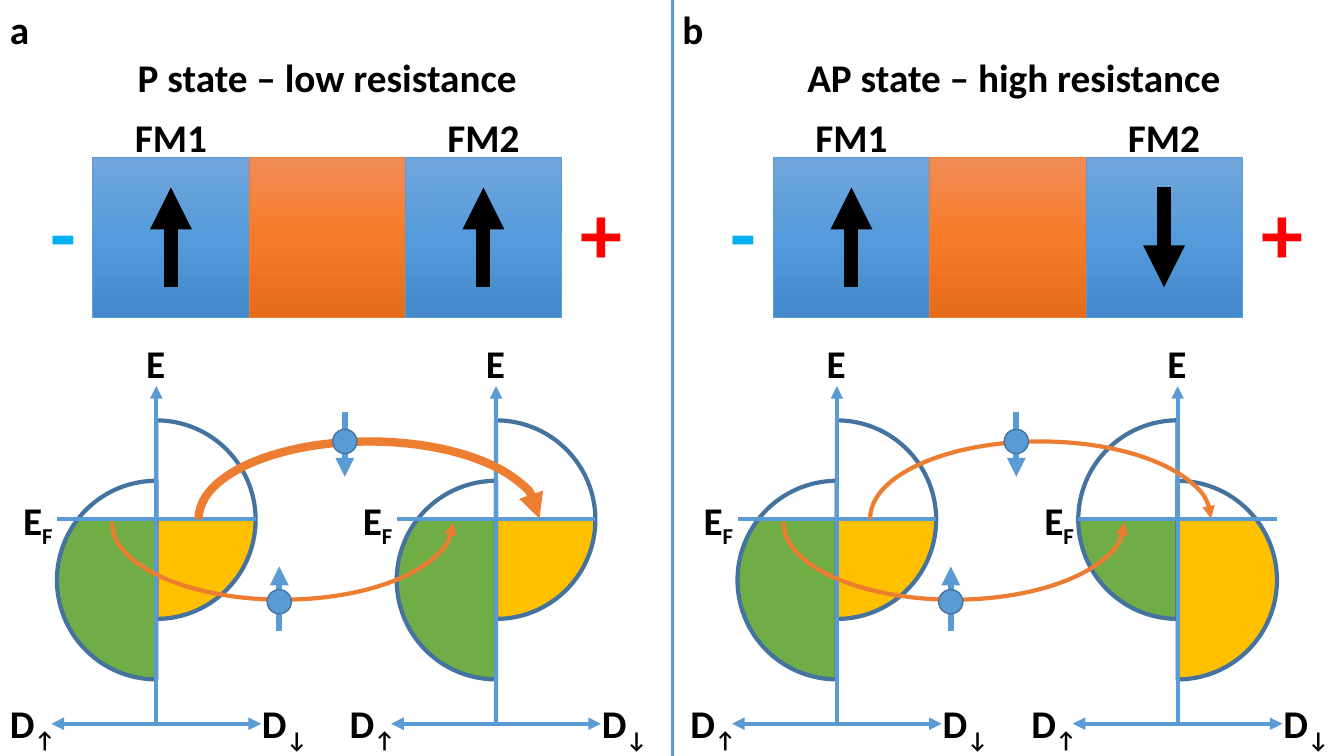
"""Draw spin-valve tunnelling in the parallel and antiparallel states."""
from copy import deepcopy
from dataclasses import dataclass
from math import asin, cos, pi, sin

from lxml.etree import SubElement
from pptx import Presentation
from pptx.dml.color import RGBColor
from pptx.enum.shapes import MSO_CONNECTOR, MSO_SHAPE
from pptx.enum.text import MSO_ANCHOR, MSO_AUTO_SIZE, PP_ALIGN
from pptx.oxml.ns import qn
from pptx.shapes.autoshape import Shape
from pptx.shapes.shapetree import GroupShapes, SlideShapes
from pptx.util import Inches, Pt

Shapes = SlideShapes | GroupShapes
Point = tuple[float, float]

COLORS = {
    "black": "000000", "blue": "5B9BD5", "outline": "43739E", "orange": "ED7D31",
    "green": "70AD47", "green_edge": "538035", "yellow": "FFC000",
    "yellow_edge": "BD8E00", "minus": "00B0F0", "plus": "FF0000",
}
GRADIENTS = {
    "blue": ("71A6DB", "559BDB", "448ACA"),
    "orange": ("F18C57", "F67B28", "E56C19"),
}
LAYER_W, LAYER_H, LAYER_TOP = 1.55, 1.59, 1.56
FERMI, RADIUS = 5.15, 0.985
HIGH, LOW = 5.155, 5.755


@dataclass
class Box:
    x: float
    y: float
    w: float
    h: float

    def emu(self) -> tuple[int, int, int, int]:
        return Inches(self.x), Inches(self.y), Inches(self.w), Inches(self.h)


@dataclass
class Band:
    """Half-circle band on one side of an energy axis."""
    side: int
    center: float
    color: str


@dataclass
class Panel:
    letter: str
    left: float
    title: str
    title_box: Box
    stack: float
    fm2_up: bool
    axes: tuple[float, float]
    hop: float
    down_width: float


PANELS = (
    Panel("a", 0, "P state – low resistance", Box(1.24, 0.48, 4.01, 0.57),
          0.92, True, (1.55, 4.92), 1.97, 6),
    Panel("b", 6.67, "AP state – high resistance", Box(7.88, 0.48, 4.35, 0.57),
          7.67, False, (8.3, 11.68), 8.63, 3),
)


def rgb(name: str) -> RGBColor:
    return RGBColor.from_string(COLORS[name])


def write(s: Shape, text: str, sub: str = "", size: int = 28, color: str = "black",
          centered: bool = False, anchor: MSO_ANCHOR = MSO_ANCHOR.TOP) -> None:
    """Set a bold label with an optional subscript."""
    tf = s.text_frame
    tf.word_wrap = False
    tf.auto_size = MSO_AUTO_SIZE.SHAPE_TO_FIT_TEXT
    tf.vertical_anchor = anchor
    p = tf.paragraphs[0]
    p.alignment = PP_ALIGN.CENTER if centered else PP_ALIGN.LEFT
    p.space_before = Pt(0)
    p.font.name, p.font.size, p.font.bold = "Calibri", Pt(size), True
    p.font.color.rgb = rgb(color)
    p.add_run().text = text
    if sub:
        r = p.add_run()
        r.text = sub
        r._r.get_or_add_rPr().set("baseline", "-25000")


def label(shapes: Shapes, box: Box, text: str, **style) -> None:
    write(shapes.add_textbox(*box.emu()), text, **style)


def arrowheads(s, *ends: str) -> None:
    for end in ends:
        SubElement(s.get_or_add_ln(), qn(f"a:{end}")).set("type", "triangle")


def line(shapes: Shapes, start: Point, end: Point, color: str, width: float,
         *ends: str) -> None:
    s = shapes.add_connector(MSO_CONNECTOR.STRAIGHT, *map(Inches, start + end))
    s.line.color.rgb = rgb(color)
    s.line.width = Pt(width)
    arrowheads(s, *ends)
    SubElement(s._element.spPr, qn("a:effectLst"))


def style(s: Shape, fill: str | None, edge: str, width: float) -> Shape:
    s.shadow.inherit = False
    if fill:
        s.fill.solid()
        s.fill.fore_color.rgb = rgb(fill)
    else:
        s.fill.background()
    s.line.color.rgb = rgb(edge)
    s.line.width = Pt(width)
    return s


def layer(shapes: Shapes, x: float, color: str) -> None:
    """Draw one layer of the stack with a three-stop gradient."""
    s = shapes.add_shape(MSO_SHAPE.RECTANGLE,
                         *Box(x, LAYER_TOP, LAYER_W, LAYER_H).emu())
    style(s, None, color, 0.5)
    s.fill.gradient()
    s.fill.gradient_angle = 270
    first = s.fill._xPr.find(qn("a:gradFill")).find(qn("a:gsLst"))[0]
    first.addnext(deepcopy(first))
    for stop, value, position in zip(s.fill.gradient_stops, GRADIENTS[color], (0, 0.5, 1)):
        stop.color.rgb = RGBColor.from_string(value)
        stop.position = position


def stack(shapes: Shapes, panel: Panel) -> None:
    """Draw the layers, magnetisations, layer names and bias signs."""
    for i, color in enumerate(("blue", "orange", "blue")):
        layer(shapes, panel.stack + i * LAYER_W, color)
    for i, name, up in ((0, "FM1", True), (2, "FM2", panel.fm2_up)):
        left = panel.stack + i * LAYER_W
        x = left + LAYER_W / 2
        start, end = (2.85, 1.86) if up else (1.86, 2.85)
        line(shapes, (x, start), (x, end), "black", 10, "tailEnd")
        label(shapes, Box(left + 0.31, 1.08, 0.93, 0.57), name, centered=True)
    for dx, w, sign, color in ((-0.52, 0.46, "-", "minus"), (4.74, 0.62, "+", "plus")):
        label(shapes, Box(panel.stack + dx, 1.74, w, 1.11), sign, size=60,
              color=color, anchor=MSO_ANCHOR.MIDDLE)


def occupied(shapes: Shapes, x: float, band: Band) -> None:
    """Fill the part of a band below the Fermi level."""
    first = asin((FERMI - band.center) / RADIUS)
    angles = [first + (pi / 2 - first) * i / 30 for i in range(31)]
    points = [(Inches(x + band.side * RADIUS * cos(a)),
               Inches(band.center + RADIUS * sin(a))) for a in angles]
    builder = shapes.build_freeform(Inches(x), Inches(FERMI))
    builder.add_line_segments(points, close=True)
    style(builder.convert_to_shape(), band.color, f"{band.color}_edge", 1)


def density(shapes: Shapes, x: float, bands: tuple[Band, Band]) -> None:
    """Draw the density of states around one energy axis."""
    for band in bands:
        occupied(shapes, x, band)
    for band in bands:
        box = Box(x - RADIUS, band.center - RADIUS, 2 * RADIUS, 2 * RADIUS)
        s = style(shapes.add_shape(MSO_SHAPE.PIE, *box.emu()), None, "outline", 3)
        s.adjustments[0], s.adjustments[1] = 54, 162
        s.rotation = 180 if band.side > 0 else 0
    line(shapes, (x, 7.18), (x, 3.83), "blue", 3, "tailEnd")
    line(shapes, (x + RADIUS, FERMI), (x - RADIUS, FERMI), "blue", 3)
    line(shapes, (x - 1.04, 7.18), (x + 1.04, 7.18), "blue", 3, "headEnd", "tailEnd")
    for dx, y, w, text, sub in ((-0.2, 3.32, 0.39, "E", ""), (-1.42, 4.87, 0.51, "E", "F"),
                                (-1.55, 6.89, 0.69, "D", "↑"), (0.95, 6.89, 0.69, "D", "↓")):
        label(shapes, Box(x + dx, y, w, 0.57), text, sub=sub)


def hop(shapes: Shapes, x: float, up: bool, width: float) -> None:
    """Draw a tunnelling arc and the spin that follows it."""
    box = Box(x, 4.42 if up else 4.38, 3.38, 1.53)
    s = style(shapes.add_shape(MSO_SHAPE.ARC, *box.emu()), None, "orange", width)
    s.adjustments[0], s.adjustments[1] = 107.86, 0
    arrowheads(s, "tailEnd")
    if up:
        s._element.spPr.xfrm.set("flipV", "1")
    dx, start, end, top = (1.66, 6.26, 5.62, 5.85) if up else (1.45, 4.09, 4.73, 4.26)
    line(shapes, (x + dx, start), (x + dx, end), "blue", 4.5, "tailEnd")
    ball = Box(x + dx - 0.12, top, 0.24, 0.24)
    style(shapes.add_shape(MSO_SHAPE.OVAL, *ball.emu()), "blue", "outline", 1)


prs = Presentation()
prs.slide_width, prs.slide_height = Inches(13.33), Inches(7.5)
slide = prs.slides.add_slide(prs.slide_layouts.get_by_name("Comparison"))
headings = [s for s in slide.placeholders if s.placeholder_format.idx in (1, 3)]
for s in list(slide.placeholders):
    if s.placeholder_format.idx not in (1, 3):
        s._element.getparent().remove(s._element)

for panel, s in zip(PANELS, headings):
    s.left, s.top, s.width, s.height = panel.title_box.emu()
    write(s, panel.title, centered=True)
    label(slide.shapes, Box(panel.left, 0, 0.4, 0.57), panel.letter)
    stack(slide.shapes.add_group_shape().shapes, panel)
    for i, x in enumerate(panel.axes):
        flipped = i == 1 and not panel.fm2_up
        left, right = (HIGH, LOW) if flipped else (LOW, HIGH)
        density(slide.shapes.add_group_shape().shapes, x,
                (Band(-1, left, "green"), Band(1, right, "yellow")))
    hops = slide.shapes.add_group_shape().shapes
    hop(hops, panel.hop, False, panel.down_width)
    hop(hops, panel.hop - 0.86, True, 3)
line(slide.shapes, (6.67, 0), (6.67, 7.5), "blue", 2.25)
prs.save("out.pptx")
